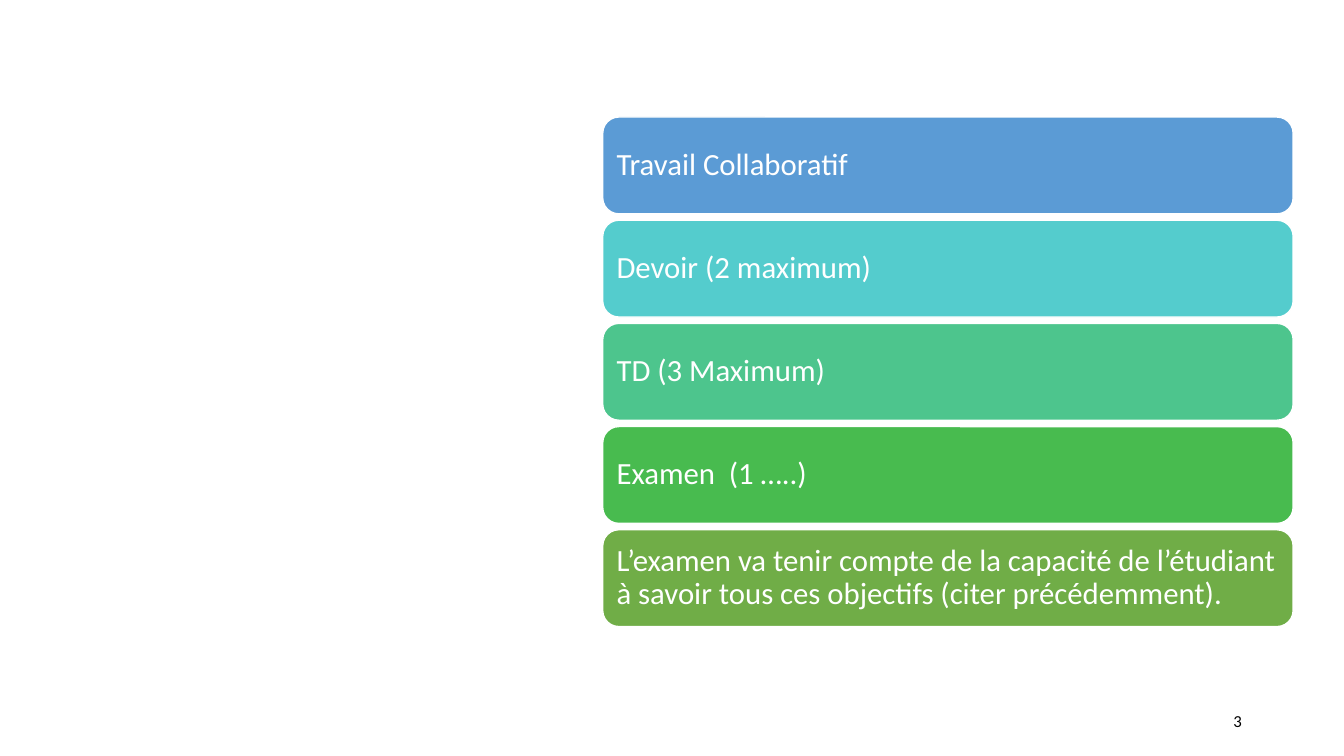
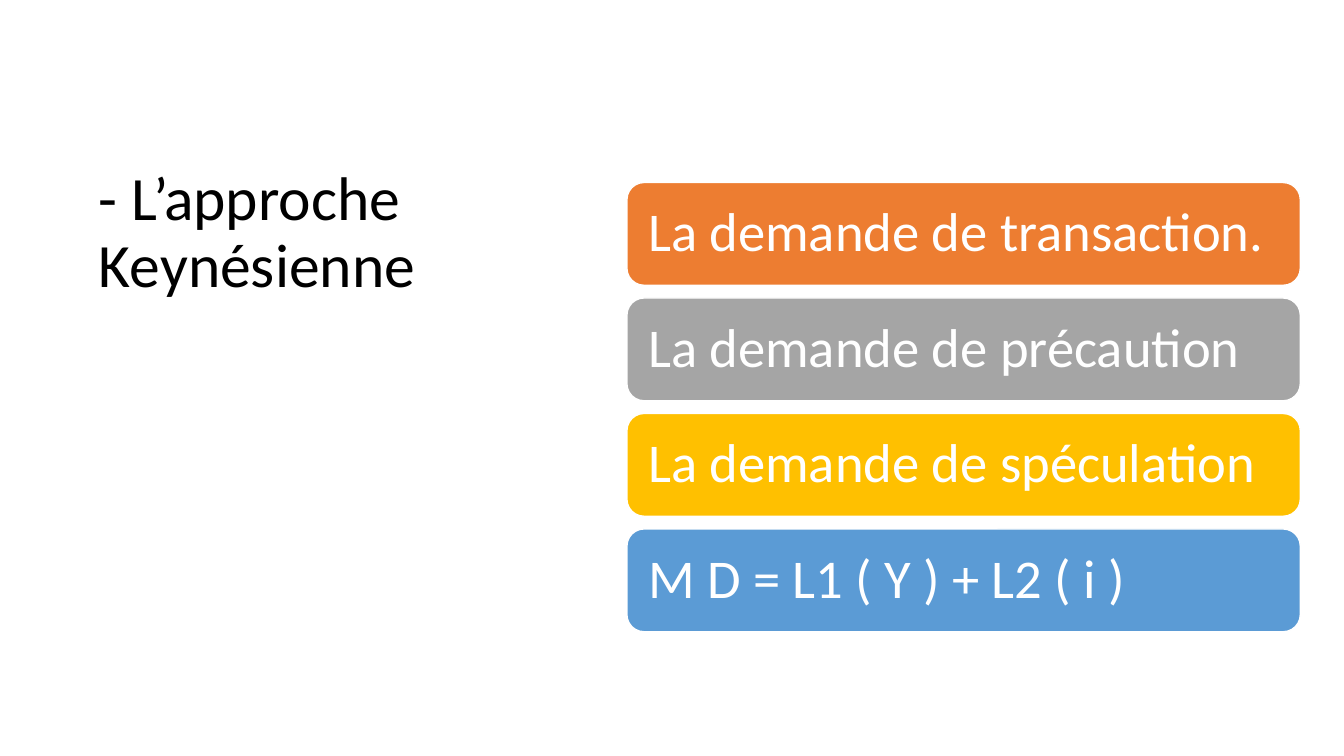
from pptx import Presentation
from pptx.dml.color import RGBColor
from pptx.enum.shapes import MSO_SHAPE
from pptx.enum.text import MSO_ANCHOR, MSO_AUTO_SIZE, PP_ALIGN
from pptx.util import Cm, Pt

ROUNDED = MSO_SHAPE.ROUNDED_RECTANGLE
MIDDLE = MSO_ANCHOR.MIDDLE
NO_FIT = MSO_AUTO_SIZE.NONE
LEFT, RIGHT = PP_ALIGN.LEFT, PP_ALIGN.RIGHT
TITLE_ONLY, BLANK = 5, 6

FONT = "Calibri"
BLACK, WHITE = "000000", "FFFFFF"
MARGINS = ("margin_left", "margin_top", "margin_right", "margin_bottom")

# Lengths in cm: left, top, width, height of a card, and step between cards
SLIDES = [
    {
        "number": "3",
        "cards": [
            ("Travail Collaboratif", "5B9BD5"),
            ("Devoir (2 maximum)", "54CCCD"),
            ("TD (3 Maximum)", "4DC58D"),
            ("Examen  (1 …..)", "48BB4F"),
            ("L’examen va tenir compte de la capacité de l’étudiant à savoir "
             "tous ces objectifs (citer précédemment).", "70AD47"),
        ],
        "grid": (15.19, 2.95, 17.4, 2.44, 2.6),
        "size": 22,
        "inset": 0.23,
    },
    {
        "title": "- L’approche Keynésienne",
        "cards": [
            ("La demande de transaction.", "ED7D31"),
            ("La demande de précaution", "A5A5A5"),
            ("La demande de spéculation", "FFC000"),
            ("M D = L1 ( Y ) + L2 ( i )", "5B9BD5"),
        ],
        "grid": (15.8, 4.6, 16.97, 2.59, 2.91),
        "size": 39,
        "inset": 0.41,
    },
]


def rgb(value):
    return RGBColor.from_string(value)


def write(sp, text, size, color, align=LEFT, spacing=0.9):
    tf = sp.text_frame
    tf.text = text
    frame_format = {"word_wrap": True, "auto_size": NO_FIT,
                    "vertical_anchor": MIDDLE}
    for name, value in frame_format.items():
        setattr(tf, name, value)
    p = tf.paragraphs[0]
    p.alignment, p.line_spacing = align, spacing
    font = p.runs[0].font
    for name, value in {"name": FONT, "size": Pt(size)}.items():
        setattr(font, name, value)
    font.color.rgb = rgb(color)


def add_title(s, text):
    sp = s.shapes.title
    box = {"left": 2.24, "top": 1.68, "width": 8.94, "height": 8.43}
    for name, value in box.items():
        setattr(sp, name, Cm(value))
    write(sp, text, 44, BLACK)


def add_number(s, text):
    sp = s.shapes.add_textbox(Cm(23.93), Cm(17.65), Cm(7.62), Cm(1.02))
    write(sp, text, 12, BLACK, RIGHT, 1.0)
    sp.text_frame.paragraphs[0].space_after = Pt(6)


def add_cards(s, cards, grid, size, inset):
    left, top, width, height, step = grid
    for i, (text, fill) in enumerate(cards):
        sp = s.shapes.add_shape(ROUNDED, Cm(left), Cm(top + i * step),
                                Cm(width), Cm(height))
        sp.shadow.inherit = False
        sp.fill.solid()
        sp.fill.fore_color.rgb = rgb(fill)
        sp.line.color.rgb = rgb(WHITE)
        sp.line.width = Pt(1)
        write(sp, text, size, WHITE)
        for margin in MARGINS:
            setattr(sp.text_frame, margin, Cm(inset))


def main():
    prs = Presentation()
    prs.slide_width, prs.slide_height = Cm(33.87), Cm(19.05)
    for data in SLIDES:
        layout = TITLE_ONLY if "title" in data else BLANK
        s = prs.slides.add_slide(prs.slide_layouts[layout])
        if "title" in data:
            add_title(s, data["title"])
        if "number" in data:
            add_number(s, data["number"])
        add_cards(s, data["cards"], data["grid"], data["size"], data["inset"])
    prs.save("out.pptx")


if __name__ == "__main__":
    main()
